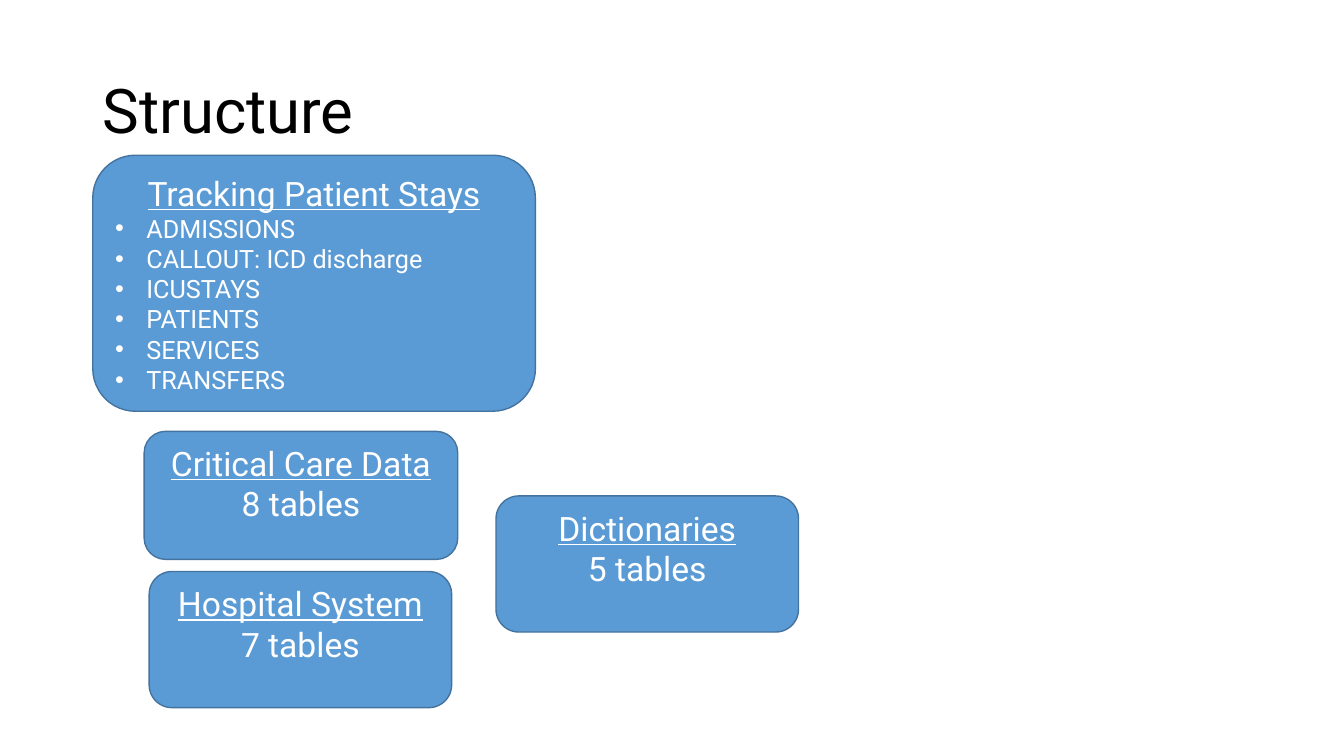
import pptx
import pptx.util
import pptx.dml.color
import pptx.enum.shapes
import pptx.enum.text
import pptx.oxml.ns
import lxml.etree

Inches = pptx.util.Inches
ALIGN = pptx.enum.text.PP_ALIGN
ANCHOR = pptx.enum.text.MSO_ANCHOR

COLOURS = {"title": "000000", "text": "FFFFFF", "group": "5B9BD5", "outline": "43739E"}
FONT = "Roboto"
BULLET_INDENT = 0.31

STAY_TABLES = ["ADMISSIONS", "CALLOUT: ICD discharge", "ICUSTAYS",
               "PATIENTS", "SERVICES", "TRANSFERS"]
COUNTED_GROUPS = [
    ("Critical Care Data", 8, (1.43, 4.28, 3.11, 1.27)),
    ("Hospital System", 7, (1.48, 5.67, 3, 1.35)),
    ("Dictionaries", 5, (4.92, 4.92, 3, 1.35)),
]


def rgb(name):
    """Return the named colour."""
    return pptx.dml.color.RGBColor.from_string(COLOURS[name])


def write_line(paragraph, words, colour, size, align=ALIGN.LEFT, underline=False):
    """Fill a paragraph with one formatted run."""
    paragraph.alignment = align
    run = paragraph.add_run()
    run.text = words
    font_format = {"name": FONT, "size": pptx.util.Pt(size), "underline": underline}
    for attribute, value in font_format.items():
        setattr(run.font, attribute, value)
    run.font.color.rgb = rgb(colour)


def add_bullet(paragraph):
    """Give a paragraph a hanging round bullet."""
    properties = paragraph._p.get_or_add_pPr()
    properties.set("marL", str(Inches(BULLET_INDENT)))
    properties.set("indent", str(-Inches(BULLET_INDENT)))
    for tag, key, value in (("a:buFont", "typeface", "Arial"), ("a:buChar", "char", "•")):
        mark = lxml.etree.SubElement(properties, pptx.oxml.ns.qn(tag))
        mark.set(key, value)


def add_title(slide, words):
    """Add the slide heading."""
    heading = slide.shapes.add_textbox(*map(Inches, (0.92, 0.4, 11.5, 1.45))).text_frame
    heading.word_wrap = True
    heading.vertical_anchor = ANCHOR.MIDDLE
    heading.paragraphs[0].line_spacing = 0.9
    write_line(heading.paragraphs[0], words, "title", 44)


def add_group(slide, name, bounds):
    """Add a rounded box headed by its group name and return its text frame."""
    group = slide.shapes.add_shape(
        pptx.enum.shapes.MSO_SHAPE.ROUNDED_RECTANGLE, *map(Inches, bounds))
    group.shadow.inherit = False
    group.fill.solid()
    group.fill.fore_color.rgb = rgb("group")
    group.line.color.rgb = rgb("outline")
    group.line.width = pptx.util.Pt(1)
    content = group.text_frame
    content.word_wrap = True
    content.vertical_anchor = ANCHOR.TOP
    write_line(content.paragraphs[0], name, "text", 24, ALIGN.CENTER, True)
    return content


def main():
    """Build and save the slide."""
    deck = pptx.Presentation()
    deck.slide_width, deck.slide_height = Inches(13.33), Inches(7.5)
    slide = deck.slides.add_slide(deck.slide_layouts[6])
    add_title(slide, "Structure")

    stays = add_group(slide, "Tracking Patient Stays", (0.92, 1.54, 4.39, 2.54))
    for table_name in STAY_TABLES:
        entry = stays.add_paragraph()
        write_line(entry, table_name, "text", 18)
        add_bullet(entry)

    for name, count, bounds in COUNTED_GROUPS:
        content = add_group(slide, name, bounds)
        write_line(content.add_paragraph(), f"{count} tables", "text", 24, ALIGN.CENTER)

    deck.save("out.pptx")


main()
